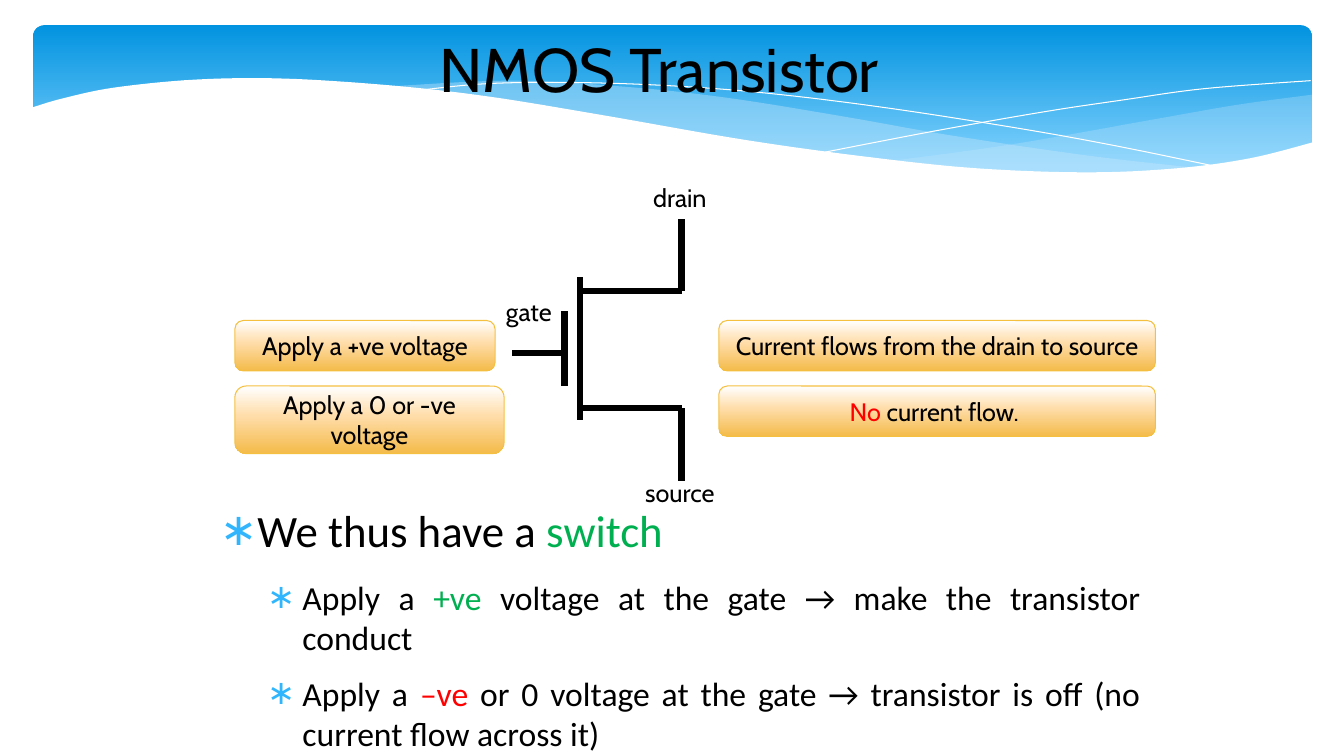
from lxml import etree
from pptx import Presentation
from pptx import util as u
from pptx.dml.color import RGBColor
from pptx.enum import shapes as sh, text as tx
from pptx.oxml import ns

I = u.Inches
BLACK, WHITE, RED, GREEN = "000000", "FFFFFF", "FF0000", "00B050"
SKY, PALE, GOLD = "31B6FD", "C6E7FC", "F5C040"
FACE = "Cabin"


def rgb(code):
    return RGBColor.from_string(code)


def grade(shape, stops):
    """Fill a shape from top to bottom with (percent, colour) stops."""
    shape.shadow.inherit = False
    shape.fill.gradient()
    shape.fill.gradient_angle = 270
    bag = shape.fill._fill._gradFill.find(ns.qn("a:gsLst"))
    for old in list(bag):
        bag.remove(old)
    for pos, code in stops:
        stop = etree.SubElement(bag, ns.qn("a:gs"), pos=str(pos * 1000))
        etree.SubElement(stop, ns.qn("a:srgbClr"), val=code)


prs = Presentation()
prs.slide_width, prs.slide_height = I(13.33), I(7.5)
slide = prs.slides.add_slide(prs.slide_layouts[1])
items = slide.shapes
title, body = items.title, slide.placeholders[1]

# Blue banner
band = items.add_shape(sh.MSO_SHAPE.ROUNDED_RECTANGLE, I(0.33), I(0.25), I(12.68), I(1.56))
band.adjustments[0] = 0.07
band.line.fill.background()
grade(band, [(0, "0293E0"), (90, "83D3FE")])

# Waves: each is a chain of arcs, and each arc is a list of knots to pass through
right = [[(13.01, 0.94), (12.27, 1.04), (11.47, 1.18), (10.05, 1.43), (8.82, 1.6)],
         [(8.82, 1.6), (9.58, 1.67), (10.56, 1.72), (11.51, 1.7), (12.28, 1.6), (13.01, 1.42)]]
middle = [[(11.9, 1.67), (10.76, 1.54), (9.41, 1.34), (8.39, 1.16), (7.21, 0.97),
           (6.19, 0.86), (5.06, 0.8), (3.82, 0.86)],
          [(3.82, 0.86), (4.83, 0.97), (5.99, 1.16), (7.06, 1.35), (8.02, 1.5),
           (9.07, 1.63), (10.14, 1.71), (11.04, 1.73), (11.9, 1.67)]]
fall = [[(4.12, 0.9), (4.84, 0.83), (5.77, 0.82), (6.8, 0.86), (7.75, 0.94),
         (8.86, 1.08), (10.14, 1.28), (11.08, 1.45), (12.1, 1.66)]]
rise = [[(8.18, 1.51), (9.27, 1.3), (10.35, 1.11), (11.15, 0.99), (11.94, 0.88), (13, 0.8)]]
front = [[(13.03, 1.41), (12.4, 1.57), (11.67, 1.67), (10.78, 1.71), (9.69, 1.67),
          (8.63, 1.56), (7.4, 1.39), (5.96, 1.14), (4.86, 0.96), (3.9, 0.85),
          (2.82, 0.78), (1.94, 0.79), (1.13, 0.87), (0.61, 0.98), (0.31, 1.07)],
         [(0.31, 2.24), (13.03, 2.24)]]
STEPS = 8

# Opacity is in percent; a wave without a fill is a thin white line
for arcs, fill, alpha in [(right, PALE, 29), (middle, PALE, 40), (fall, None, 0),
                          (rise, None, 0), (front, WHITE, 100)]:
    pts = []
    for arc in arcs:
        # Catmull-Rom spline, with both end knots doubled
        knots = [arc[0]] + arc + [arc[-1]]
        for quad in zip(knots, knots[1:], knots[2:], knots[3:]):
            for step in range(STEPS):
                t = step / STEPS
                pts.append([I(b + t * (c - a) / 2 + t**2 * (a - 2.5 * b + 2 * c - d / 2)
                              + t**3 * (3 * b - a - 3 * c + d) / 2)
                            for a, b, c, d in zip(*quad)])
        pts.append([I(v) for v in arc[-1]])
    pen = items.build_freeform(*pts[0])
    pen.add_line_segments(pts[1:], close=fill is not None)
    wave = pen.convert_to_shape()
    wave.shadow.inherit = False
    if fill:
        wave.fill.solid()
        wave.fill.fore_color.rgb = rgb(fill)
        tint = wave.fill._fill._solidFill[0]
        etree.SubElement(tint, ns.qn("a:alpha"), val=str(alpha * 1000))
        wave.line.fill.background()
    else:
        wave.fill.background()
        wave.line.color.rgb = rgb(WHITE)
        wave.line.width = u.Pt(0)

# Title, in front of the banner
items._spTree.append(title._element)
title.left, title.top, title.width, title.height = I(1.83), I(0.25), I(9.42), I(0.84)
title.text = "NMOS Transistor"
title.text_frame.vertical_anchor = tx.MSO_ANCHOR.MIDDLE
title.text_frame.auto_size = tx.MSO_AUTO_SIZE.NONE
head = title.text_frame.paragraphs[0]
head.alignment = tx.PP_ALIGN.CENTER
head.font.size, head.font.name = u.Pt(44), FACE
head.font.color.rgb = rgb(BLACK)

# Orange boxes: the voltage applied on the left, its effect on the right
cause, effect = 2.33, 7.13
on, off = 3.18, 3.83
for x, y, w, h, runs in [
        (cause, on, 2.58, 0.5, [("Apply a +ve voltage", BLACK)]),
        (effect, on, 4.33, 0.5, [("Current flows from the drain to source", BLACK)]),
        (cause, off, 2.67, 0.67, [("Apply a 0 or -ve voltage", BLACK)]),
        (effect, off, 4.33, 0.5, [("No", RED), (" current flow. ", BLACK)])]:
    box = items.add_shape(sh.MSO_SHAPE.ROUNDED_RECTANGLE, I(x), I(y), I(w), I(h))
    grade(box, [(0, WHITE), (44, "FFDDAA"), (100, "F4BB4A")])
    box.line.color.rgb = rgb(GOLD)
    box.line.width = u.Pt(0.75)
    box.text_frame.vertical_anchor = tx.MSO_ANCHOR.MIDDLE
    para = box.text_frame.paragraphs[0]
    para.alignment = tx.PP_ALIGN.CENTER
    para.font.size, para.font.name = u.Pt(18), FACE
    for words, code in runs:
        run = para.add_run()
        run.text = words
        run.font.color.rgb = rgb(code)

# Terminal labels
for x, y, w, name in [(6.38, 1.76, 0.75, "drain"), (6.3, 4.69, 0.92, "source"),
                      (4.92, 2.89, 0.68, "gate")]:
    label = items.add_textbox(I(x), I(y), I(w), I(0.4)).text_frame
    label.word_wrap = False
    label.text = name
    para = label.paragraphs[0]
    para.font.size, para.font.name = u.Pt(18), FACE
    para.font.color.rgb = rgb(BLACK)

# Bullet list
items._spTree.append(body._element)
body.left, body.top, body.width, body.height = I(2.06), I(4.99), I(9.25), I(2.28)
frame = body.text_frame
frame.margin_left = frame.margin_right = frame.margin_top = frame.margin_bottom = 0
frame.auto_size = tx.MSO_AUTO_SIZE.NONE
frame.vertical_anchor = tx.MSO_ANCHOR.TOP
sizes, gaps = (32, 24), (14.1, 11.3)    # by list level
points = [
    (0, [("We thus have a ", BLACK), ("switch", GREEN)]),
    (1, [("Apply a ", BLACK), ("+ve ", GREEN),
         ("voltage at the gate → make the transistor conduct", BLACK)]),
    (1, [("Apply a ", BLACK), ("–ve ", RED),
         ("or 0 voltage at the gate → transistor is off (no current flow across it)", BLACK)])]
for n, (level, runs) in enumerate(points):
    para = frame.add_paragraph() if n else frame.paragraphs[0]
    para.level = level
    para.alignment = tx.PP_ALIGN.JUSTIFY
    prop = para._p.get_or_add_pPr()
    prop.set("marL", str(I(0.47 * (level + 1))))
    prop.set("indent", str(I(-0.35)))
    tint = etree.SubElement(prop, ns.qn("a:buClr"))
    etree.SubElement(tint, ns.qn("a:srgbClr"), val=SKY)
    etree.SubElement(prop, ns.qn("a:buFont"), typeface="Calibri")
    etree.SubElement(prop, ns.qn("a:buChar"), char="∗")
    para.space_before = u.Pt(0)
    para.space_after = u.Pt(gaps[level])
    para.font.size, para.font.name = u.Pt(sizes[level]), "Calibri"
    for words, code in runs:
        run = para.add_run()
        run.text = words
        run.font.color.rgb = rgb(code)

# Transistor symbol: gate lead, gate plate and channel, then two mirrored arms
gate, chan, lead = 5.6, 5.75, 6.76
drain, source, reach = 2.89, 4.05, 0.72
wires = [(5.08, 3.5, gate, 3.5), (gate, 3.09, gate, 3.83), (chan, 2.75, chan, 4.17)]
for y, end in [(drain, drain - reach), (source, source + reach)]:
    wires += [(chan, y, lead, y), (lead, y, lead, end)]
for ends in wires:
    wire = items.add_connector(sh.MSO_CONNECTOR.STRAIGHT, *[I(v) for v in ends])
    wire.line.color.rgb = rgb(BLACK)
    wire.line.width = u.Pt(4.5)
    etree.SubElement(wire._element.spPr, ns.qn("a:effectLst"))

prs.save("out.pptx")
